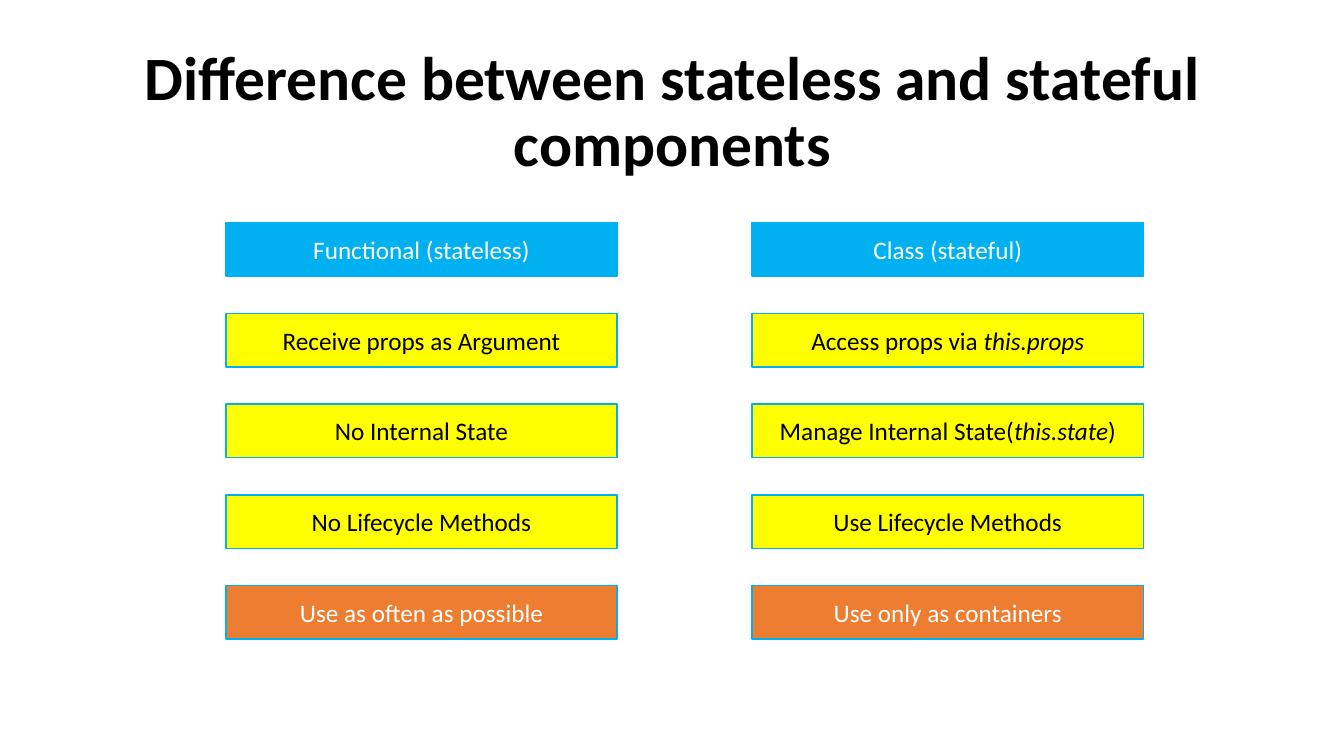
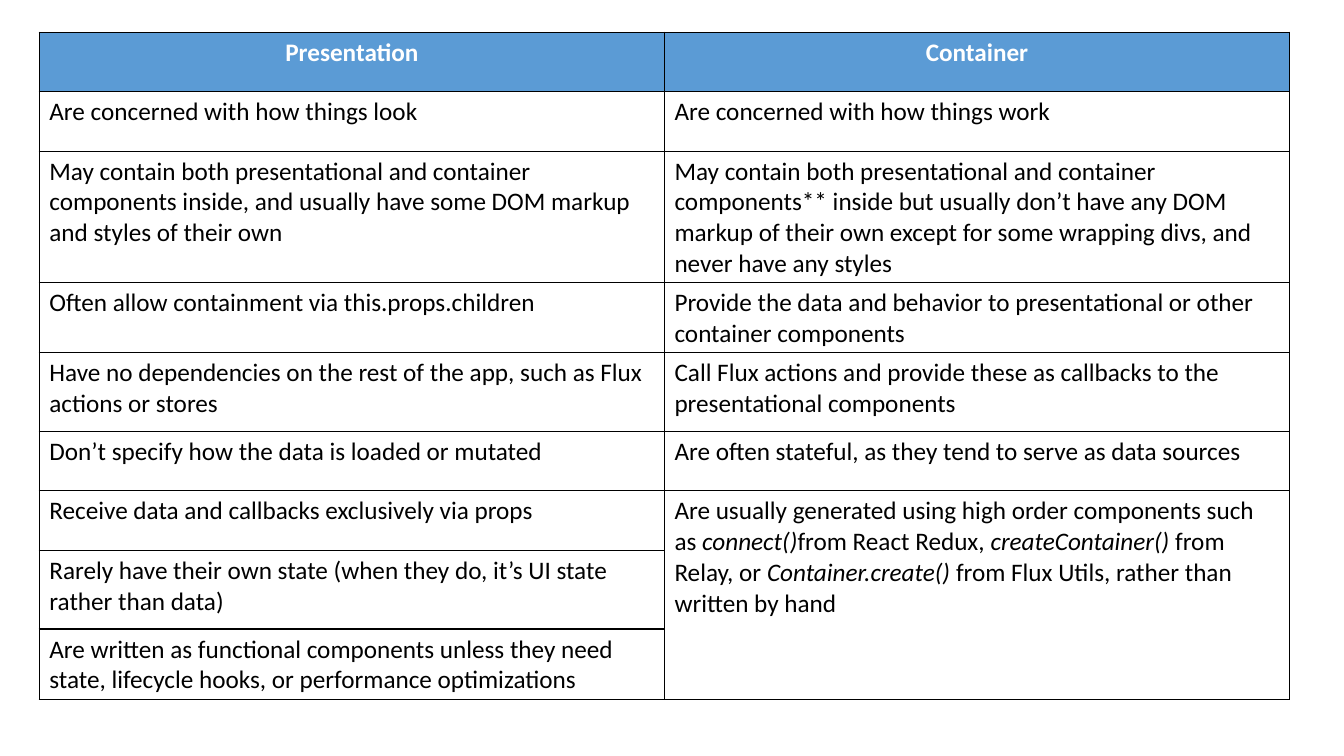
from lxml.etree import SubElement
from pptx import Presentation
from pptx.dml.color import RGBColor
from pptx.enum.shapes import MSO_SHAPE
from pptx.enum.text import MSO_ANCHOR, PP_ALIGN
from pptx.oxml.ns import qn
from pptx.util import Inches, Pt

FONT = "Calibri"
COLORS = {
    "white": "FFFFFF",
    "black": "000000",
    "heading": "00B0F0",
    "trait": "FFFF00",
    "advice": "ED7D31",
    "table_header": "5B9BD5",
}

# Text between underscores is italic.
COMPARISON = [
    ("heading", "white", "Functional (stateless)", "Class (stateful)"),
    ("trait", "black", "Receive props as Argument", "Access props via _this.props_"),
    ("trait", "black", "No Internal State", "Manage Internal State(_this.state_)"),
    ("trait", "black", "No Lifecycle Methods", "Use Lifecycle Methods"),
    ("advice", "white", "Use as often as possible", "Use only as containers"),
]
COLUMN_LEFTS = (2.24, 7.46)
BOX_TOP, BOX_PITCH = 2.21, 0.9
BOX_WIDTH, BOX_HEIGHT = 3.88, 0.53

TABLE_ROWS = [
    (0.59, "Presentation", "Container"),
    (0.59, "Are concerned with how things look",
     "Are concerned with how things work"),
    (1.18, "May contain both presentational and container components inside, "
     "and usually have some DOM markup and styles of their own",
     "May contain both presentational and container components** inside "
     "but usually don’t have any DOM markup of their own except for some "
     "wrapping divs, and never have any styles"),
    (0.59, "Often allow containment via this.props.children",
     "Provide the data and behavior to presentational or other container components"),
    (0.78, "Have no dependencies on the rest of the app, such as Flux actions or stores",
     "Call Flux actions and provide these as callbacks to the presentational components"),
    (0.59, "Don’t specify how the data is loaded or mutated",
     "Are often stateful, as they tend to serve as data sources"),
    (0.59, "Receive data and callbacks exclusively via props",
     "Are usually generated using high order components such as "
     "_connect()_from React Redux, _createContainer() _from Relay, or "
     "_Container.create() _from Flux Utils, rather than written by hand"),
    (0.78, "Rarely have their own state (when they do, it’s UI state rather than data)", ""),
    (0.59, "Are written as functional components unless they need state, "
     "lifecycle hooks, or performance optimizations", ""),
]
MERGE_FROM = 6


def color(name):
    return RGBColor.from_string(COLORS[name])


def paint(target, name):
    target.fill.solid()
    target.fill.fore_color.rgb = color(name)


def write(text_frame, text, color_name, size=18, bold=False, align=PP_ALIGN.CENTER):
    """Fill the first paragraph, with text between underscores in italics."""
    paragraph = text_frame.paragraphs[0]
    paragraph.alignment = align
    font = paragraph.font
    font.name, font.size, font.bold = FONT, Pt(size), bold
    font.color.rgb = color(color_name)
    for index, part in enumerate(text.split("_")):
        if part:
            run = paragraph.add_run()
            run.text = part
            if index % 2:
                run.font.italic = True
    return paragraph


def add_title(slide, text):
    box = slide.shapes.add_textbox(Inches(0.92), Inches(0.4), Inches(11.5), Inches(1.45))
    box.text_frame.word_wrap = True
    box.text_frame.vertical_anchor = MSO_ANCHOR.MIDDLE
    write(box.text_frame, text, "black", size=44, bold=True).line_spacing = 0.9


def add_box(slide, left, top, fill, text_color, text):
    shape = slide.shapes.add_shape(MSO_SHAPE.RECTANGLE, Inches(left), Inches(top),
                                   Inches(BOX_WIDTH), Inches(BOX_HEIGHT))
    shape.shadow.inherit = False
    paint(shape, fill)
    shape.line.color.rgb = color("heading")
    shape.line.width = Pt(1)
    shape.text_frame.vertical_anchor = MSO_ANCHOR.MIDDLE
    write(shape.text_frame, text, text_color)


def add_borders(cell):
    """Draw a thin black line on all four sides; call before filling the cell."""
    properties = cell._tc.get_or_add_tcPr()
    for side in ("lnL", "lnR", "lnT", "lnB"):
        line = SubElement(properties, qn(f"a:{side}"), w=str(Pt(1)))
        fill = SubElement(line, qn("a:solidFill"))
        SubElement(fill, qn("a:srgbClr"), val=COLORS["black"])


def add_component_table(slide):
    height = sum(row[0] for row in TABLE_ROWS)
    table = slide.shapes.add_table(len(TABLE_ROWS), 2, Inches(0.39), Inches(0.32),
                                   Inches(12.4), Inches(height)).table
    table.horz_banding = False
    for row_index, (row_height, *texts) in enumerate(TABLE_ROWS):
        table.rows[row_index].height = Inches(row_height)
        is_header = row_index == 0
        for column_index, text in enumerate(texts):
            cell = table.cell(row_index, column_index)
            add_borders(cell)
            paint(cell, "table_header" if is_header else "white")
            write(cell.text_frame, text, "white" if is_header else "black", bold=is_header,
                  align=PP_ALIGN.CENTER if is_header else PP_ALIGN.LEFT)
    table.cell(MERGE_FROM, 1).merge(table.cell(len(TABLE_ROWS) - 1, 1))


def add_comparison_slide(presentation):
    slide = presentation.slides.add_slide(presentation.slide_layouts[6])
    add_title(slide, "Difference between stateless and stateful components")
    for row_index, (fill, text_color, *texts) in enumerate(COMPARISON):
        for left, text in zip(COLUMN_LEFTS, texts):
            add_box(slide, left, BOX_TOP + row_index * BOX_PITCH, fill, text_color, text)


def add_table_slide(presentation):
    slide = presentation.slides.add_slide(presentation.slide_layouts[6])
    add_component_table(slide)


def main():
    presentation = Presentation()
    presentation.slide_width = Inches(13.33)
    presentation.slide_height = Inches(7.5)
    add_comparison_slide(presentation)
    add_table_slide(presentation)
    presentation.save("out.pptx")


if __name__ == "__main__":
    main()
